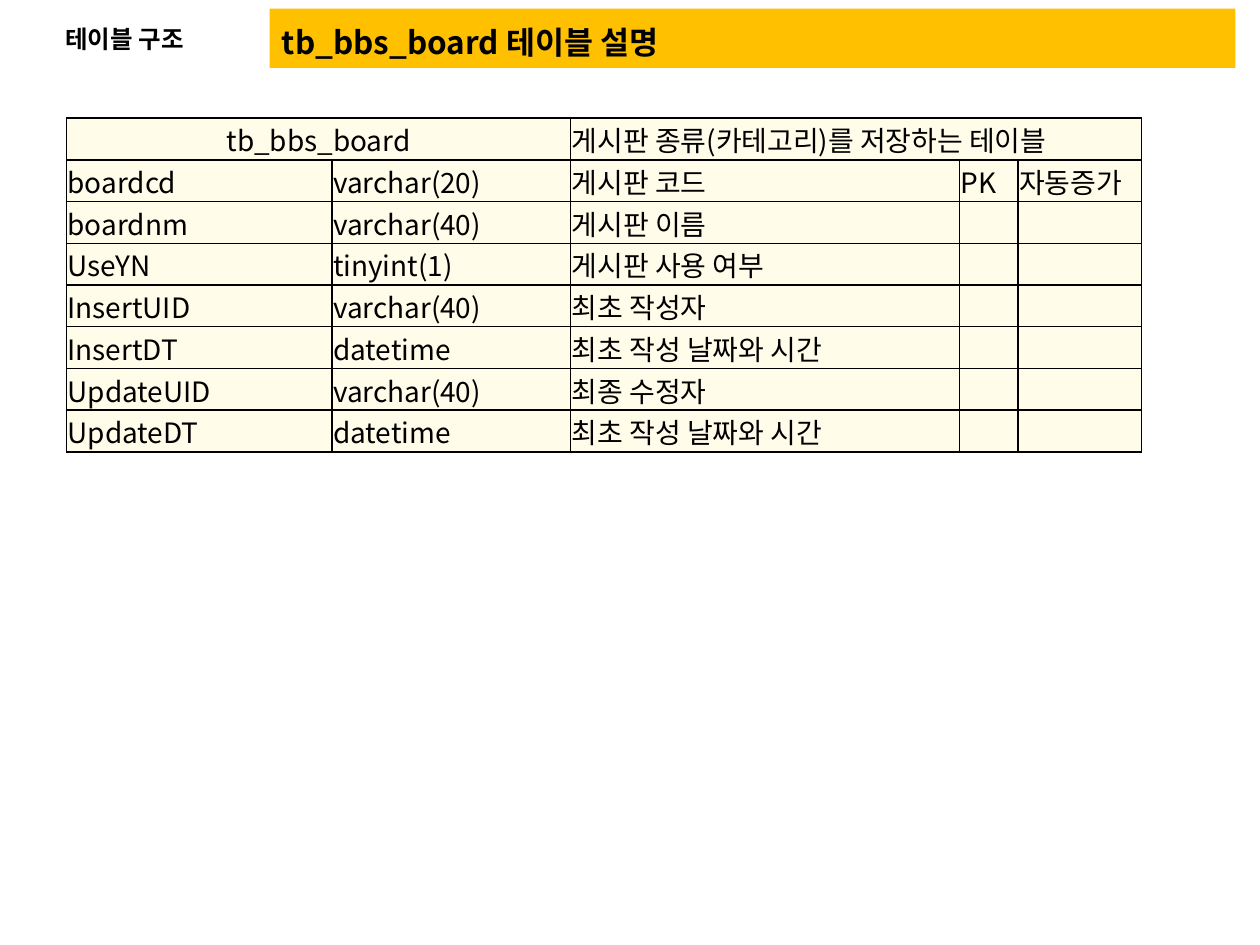
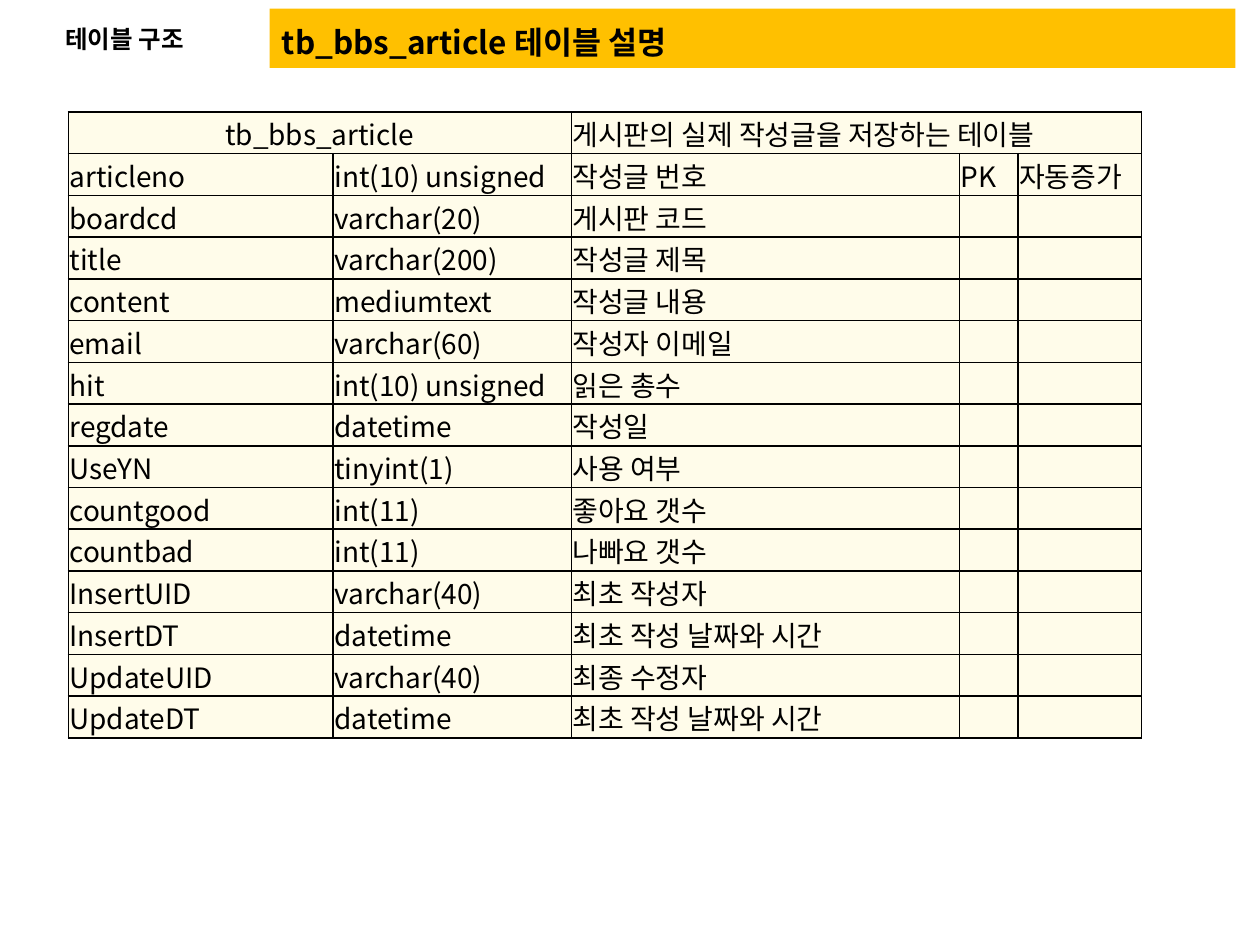
from dataclasses import dataclass

from lxml import etree
from pptx import Presentation
from pptx.dml.color import RGBColor
from pptx.enum import shapes, text
from pptx.oxml import ns
from pptx.util import Pt

COLORS = {"band": "FFC000", "cell": "FFFCEA", "ink": "000000"}
FONT = "Noto Sans CJK KR"
SECTION = "테이블 구조"
ROW_HEIGHT = 23.84
CELL_INSET = 0.72
BORDER_WIDTH = 1


@dataclass
class Field:
    name: str
    datatype: str
    description: str
    key: str = ""
    extra: str = ""


@dataclass
class TableSheet:
    name: str
    description: str
    left: float
    top: float
    widths: list[float]
    fields: list[Field]


@dataclass
class TextStyle:
    size: float
    bold: bool = False
    align: text.PP_ALIGN = text.PP_ALIGN.LEFT


TITLE = TextStyle(18, True, text.PP_ALIGN.JUSTIFY)
LABEL = TextStyle(14, True)
BODY = TextStyle(16)
CENTERED = TextStyle(16, align=text.PP_ALIGN.CENTER)

AUDIT_FIELDS = [
    Field("InsertUID", "varchar(40)", "최초 작성자"),
    Field("InsertDT", "datetime", "최초 작성 날짜와 시간"),
    Field("UpdateUID", "varchar(40)", "최종 수정자"),
    Field("UpdateDT", "datetime", "최초 작성 날짜와 시간"),
]

SHEETS = [
    TableSheet(
        "tb_bbs_board", "게시판 종류(카테고리)를 저장하는 테이블",
        38, 67.5, [151.7, 136.4, 222.3, 33.3, 70.6],
        [
            Field("boardcd", "varchar(20)", "게시판 코드", "PK", "자동증가"),
            Field("boardnm", "varchar(40)", "게시판 이름"),
            Field("UseYN", "tinyint(1)", "게시판 사용 여부"),
            *AUDIT_FIELDS,
        ],
    ),
    TableSheet(
        "tb_bbs_article", "게시판의 실제 작성글을 저장하는 테이블",
        39, 64, [151.4, 136.1, 221.9, 33.3, 70.6],
        [
            Field("articleno", "int(10) unsigned", "작성글 번호", "PK", "자동증가"),
            Field("boardcd", "varchar(20)", "게시판 코드"),
            Field("title", "varchar(200)", "작성글 제목"),
            Field("content", "mediumtext", "작성글 내용"),
            Field("email", "varchar(60)", "작성자 이메일"),
            Field("hit", "int(10) unsigned", "읽은 총수"),
            Field("regdate", "datetime", "작성일"),
            Field("UseYN", "tinyint(1)", "사용 여부"),
            Field("countgood", "int(11)", "좋아요 갯수"),
            Field("countbad", "int(11)", "나빠요 갯수"),
            *AUDIT_FIELDS,
        ],
    ),
]


def color(name: str) -> RGBColor:
    return RGBColor.from_string(COLORS[name])


def write(frame, content: str, style: TextStyle) -> None:
    paragraph = frame.paragraphs[0]
    if content:
        paragraph.text = content
    paragraph.alignment = style.align
    font = paragraph.font
    font.size, font.bold, font.name = Pt(style.size), style.bold, FONT
    font.color.rgb = color("ink")
    properties = paragraph._p.get_or_add_pPr().find(ns.qn("a:defRPr"))
    etree.SubElement(properties, ns.qn("a:ea"), typeface=FONT)
    if not content:
        etree.SubElement(paragraph._p, ns.qn("a:endParaRPr"), sz=str(style.size * 100))


def add_text(slide, left: float, width: float, content: str,
             style: TextStyle, anchor: text.MSO_ANCHOR) -> None:
    frame = slide.shapes.add_textbox(Pt(left), Pt(5.8), Pt(width), Pt(32.4)).text_frame
    frame.word_wrap = True
    frame.vertical_anchor = anchor
    write(frame, content, style)


def add_header(slide, title: str) -> None:
    band = slide.shapes.add_shape(
        shapes.MSO_SHAPE.RECTANGLE, Pt(154), Pt(5), Pt(552), Pt(33.8))
    band.shadow.inherit = False
    band.fill.solid()
    band.fill.fore_color.rgb = color("band")
    band.line.fill.background()
    add_text(slide, 154, 552, title, TITLE, text.MSO_ANCHOR.BOTTOM)
    add_text(slide, 30.2, 116, SECTION, LABEL, text.MSO_ANCHOR.MIDDLE)


def format_cell(cell) -> None:
    cell.margin_left = cell.margin_right = cell.margin_top = Pt(CELL_INSET)
    cell.margin_bottom = 0
    cell.vertical_anchor = text.MSO_ANCHOR.MIDDLE
    properties = cell._tc.get_or_add_tcPr()
    for side in ("lnL", "lnR", "lnT", "lnB"):
        border = etree.SubElement(properties, ns.qn(f"a:{side}"), w=str(Pt(BORDER_WIDTH)))
        fill = etree.SubElement(border, ns.qn("a:solidFill"))
        etree.SubElement(fill, ns.qn("a:srgbClr"), val=COLORS["ink"])
    cell.fill.solid()
    cell.fill.fore_color.rgb = color("cell")


def add_field_table(slide, sheet: TableSheet) -> None:
    rows = [(sheet.name, "", sheet.description, "", "")]
    rows += [(f.name, f.datatype, f.description, f.key, f.extra) for f in sheet.fields]
    table = slide.shapes.add_table(
        len(rows), len(sheet.widths), Pt(sheet.left), Pt(sheet.top),
        Pt(sum(sheet.widths)), Pt(ROW_HEIGHT * len(rows))).table
    for column, width in zip(table.columns, sheet.widths):
        column.width = Pt(width)
    for row_index, values in enumerate(rows):
        table.rows[row_index].height = Pt(ROW_HEIGHT)
        for column_index, value in enumerate(values):
            cell = table.cell(row_index, column_index)
            format_cell(cell)
            is_name = row_index == column_index == 0
            write(cell.text_frame, value, CENTERED if is_name else BODY)
    table.cell(0, 0).merge(table.cell(0, 1))
    table.cell(0, 2).merge(table.cell(0, 4))


def main() -> None:
    presentation = Presentation()
    presentation.slide_width, presentation.slide_height = Pt(720), Pt(540)
    for sheet in SHEETS:
        slide = presentation.slides.add_slide(presentation.slide_layouts[6])
        add_header(slide, f"{sheet.name} 테이블 설명")
        add_field_table(slide, sheet)
    presentation.save("out.pptx")


main()
